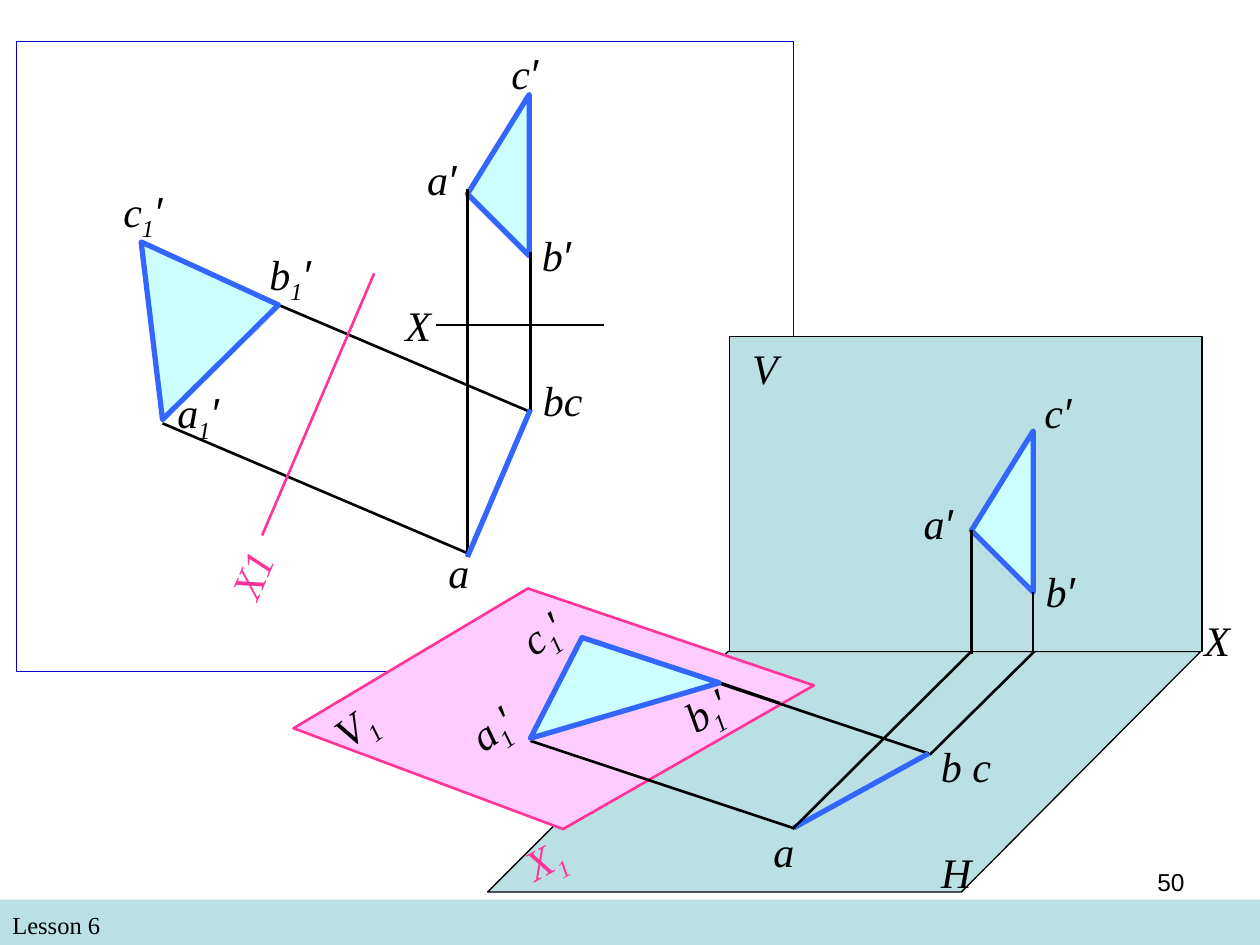
from dataclasses import dataclass
from typing import Optional, Union

from lxml.etree import SubElement
from pptx import Presentation
from pptx.dml.color import RGBColor
from pptx.enum.shapes import MSO_CONNECTOR, MSO_SHAPE
from pptx.enum.text import PP_ALIGN
from pptx.oxml.ns import qn
from pptx.shapes.autoshape import Shape
from pptx.slide import Slide
from pptx.text.text import TextFrame
from pptx.util import Inches, Pt

Point = tuple[float, float]


@dataclass(frozen=True)
class Theme:
    black: str = "000000"
    plane: str = "BBE0E3"
    auxiliary_plane: str = "FFCCFF"
    auxiliary_line: str = "FF3399"
    triangle: str = "CCFFFF"
    edge: str = "3366FF"
    frame: str = "0000CC"
    serif: str = "Times New Roman"
    sans: str = "Arial"
    label_size: float = 24
    small_size: float = 14
    thin: float = 0.75
    medium: float = 1.5
    thick: float = 3


THEME = Theme()


@dataclass(frozen=True)
class Segment:
    start: Point
    end: Point
    color: str = THEME.black
    width: float = THEME.medium


@dataclass(frozen=True)
class Polygon:
    points: tuple[Point, ...]
    fill: str = THEME.triangle
    color: str = THEME.edge
    width: float = THEME.thick


@dataclass(frozen=True)
class Box:
    left: float
    top: float
    width: float
    height: float
    fill: Optional[str] = None
    line: Optional[str] = None


@dataclass(frozen=True)
class Label:
    letter: str
    left: float
    top: float
    width: float = 0.67
    subscript: str = ""
    prime: str = ""
    rotation: float = 0
    color: str = THEME.black
    inset: float = 0.1


Item = Union[Segment, Polygon, Box, Label]


def front_triangle(x: float, y: float) -> Polygon:
    return Polygon(((x, y), (x, y + 1.28), (x - 0.49, y + 0.79)))


def style_shape(shape: Shape, fill: Optional[str], line: Optional[str], width: float) -> None:
    shape.shadow.inherit = False
    if fill:
        shape.fill.solid()
        shape.fill.fore_color.rgb = RGBColor.from_string(fill)
    else:
        shape.fill.background()
    if line:
        shape.line.color.rgb = RGBColor.from_string(line)
        shape.line.width = Pt(width)
    else:
        shape.line.fill.background()


def draw_segment(slide: Slide, segment: Segment) -> None:
    ends = [Inches(value) for value in segment.start + segment.end]
    connector = slide.shapes.add_connector(MSO_CONNECTOR.STRAIGHT, *ends)
    connector.line.color.rgb = RGBColor.from_string(segment.color)
    connector.line.width = Pt(segment.width)
    SubElement(connector._element.spPr, qn("a:effectLst"))


def draw_polygon(slide: Slide, polygon: Polygon) -> None:
    first, *others = [(Inches(x), Inches(y)) for x, y in polygon.points]
    builder = slide.shapes.build_freeform(*first)
    builder.add_line_segments(others, close=True)
    style_shape(builder.convert_to_shape(), polygon.fill, polygon.color, polygon.width)


def draw_box(slide: Slide, box: Box) -> None:
    place = [Inches(value) for value in (box.left, box.top, box.width, box.height)]
    shape = slide.shapes.add_shape(MSO_SHAPE.RECTANGLE, *place)
    style_shape(shape, box.fill, box.line, THEME.thin)


def add_text_box(slide: Slide, left: float, top: float, width: float, height: float) -> Shape:
    text_box = slide.shapes.add_textbox(Inches(left), Inches(top), Inches(width), Inches(height))
    text_box.text_frame.word_wrap = True
    return text_box


def add_run(frame: TextFrame, text: str, font: str, size: float, color: str = THEME.black,
            italic: bool = False, baseline: int = 0) -> None:
    run = frame.paragraphs[0].add_run()
    run.text = text
    run.font.name = font
    run.font.size = Pt(size)
    run.font.italic = italic
    run.font.color.rgb = RGBColor.from_string(color)
    if baseline:
        run.font._element.set("baseline", str(baseline))


def draw_label(slide: Slide, label: Label) -> None:
    height = 0.56 if label.subscript else 0.5
    text_box = add_text_box(slide, label.left, label.top, label.width, height)
    text_box.rotation = label.rotation
    frame = text_box.text_frame
    frame.margin_left = Inches(label.inset)
    parts = ((label.letter, THEME.serif, 0), (label.subscript, THEME.serif, -25000),
             (label.prime, THEME.sans, 0))
    for text, font, baseline in parts:
        if text:
            add_run(frame, text, font, THEME.label_size, label.color, True, baseline)


def draw_items(slide: Slide, items: list[Item]) -> None:
    painters = {Segment: draw_segment, Polygon: draw_polygon, Box: draw_box, Label: draw_label}
    for item in items:
        painters[type(item)](slide, item)


AUXILIARY_VIEW: list[Item] = [
    Segment((2.21, 2.42), (4.21, 3.27)),
    Segment((1.29, 3.36), (3.71, 4.39)),
    Polygon(((1.12, 1.92), (1.29, 3.33), (2.21, 2.42))),
    Label("a", 1.31, 3.02, 1, "1", "′"),
    Label("c", 0.88, 1.42, 0.75, "1", "′"),
    Label("b", 2.04, 1.92, 0.75, "1", "′"),
    Segment((2.97, 2.17), (2.08, 4.25), THEME.auxiliary_line),
    Label("X1", 1.63, 4.19, 0.83, rotation=293.2, color=THEME.auxiliary_line),
]

PROJECTION_VIEW: list[Item] = [
    Box(0.13, 0.33, 6.17, 5, line=THEME.frame),
    Segment((3.46, 2.58), (4.79, 2.58)),
    front_triangle(4.2, 0.75),
    Segment((4.21, 2), (4.21, 3.25)),
    Segment((3.71, 1.5), (3.71, 4.42)),
    Segment((4.21, 3.25), (3.71, 4.42), THEME.edge, THEME.thick),
    Label("bc", 4.21, 2.92),
    Label("a", 3.46, 4.29),
    Label("b", 4.12, 1.77, prime="′", inset=0.18),
    Label("a", 3.21, 1.17, prime="′", inset=0.18),
    Label("c", 3.96, 0.33, prime="′"),
    Label("X", 3.12, 2.33, 0.5),
]

SPATIAL_VIEW: list[Item] = [
    Polygon(((5.78, 5.17), (3.87, 7.08), (7.63, 7.08), (9.53, 5.17)),
            THEME.plane, THEME.black, THEME.thin),
    Polygon(((4.47, 6.58), (2.33, 5.78), (4.19, 4.67), (6.46, 5.44)),
            THEME.auxiliary_plane, THEME.auxiliary_line, THEME.medium),
    Box(5.79, 2.67, 3.75, 2.5, THEME.plane, THEME.black),
    Segment((6.29, 6.57), (4.21, 5.88)),
    Segment((7.37, 5.98), (4.62, 5.06)),
    front_triangle(8.2, 3.42),
    Segment((8.2, 4.7), (8.2, 5.19)),
    Segment((7.71, 4.21), (7.71, 5.19)),
    Segment((6.3, 6.57), (7.37, 5.98), THEME.edge, THEME.thick),
    Segment((8.21, 5.17), (7.38, 5.99)),
    Segment((7.71, 5.17), (6.29, 6.58)),
    Label("V", 5.87, 2.67, 0.42),
    Label("H", 7.37, 6.67, 0.42),
    Label("a", 7.15, 3.9, prime="′", inset=0.18),
    Label("c", 8.11, 3.02, prime="′", inset=0.18),
    Label("b", 8.2, 4.44, prime="′"),
    Label("X", 9.46, 4.83, 0.5),
    Label("X", 4.06, 6.48, 0.83, "1", rotation=331.1, color=THEME.auxiliary_line),
    Label("V", 2.56, 5.45, 0.67, "1", rotation=323.6),
    Label("c", 4.04, 4.71, 0.71, "1", "′", 325.4),
    Label("b", 5.18, 5.38, 0.87, "1", "′", 329.8, inset=0.27),
    Label("a", 3.62, 5.42, 0.87, "1", "′", 324),
    Segment((5.72, 5.42), (6.19, 5.58)),
    Label("b", 7.37, 5.83),
    Label("c", 7.62, 5.83),
    Label("a", 6.04, 6.5, 0.5),
    Polygon(((4.21, 5.86), (5.71, 5.42), (4.62, 5.06))),
]


def main() -> None:
    presentation = Presentation()
    presentation.slide_width = Inches(10)
    presentation.slide_height = Inches(7.5)
    slide = presentation.slides.add_slide(presentation.slide_layouts[6])

    draw_box(slide, Box(0, 7.14, 10, 0.36, THEME.plane))
    lesson = add_text_box(slide, 0, 7.17, 4.83, 0.34).text_frame
    add_run(lesson, "Lesson 6", THEME.serif, THEME.small_size)

    for view in (AUXILIARY_VIEW, PROJECTION_VIEW, SPATIAL_VIEW):
        draw_items(slide, view)

    number = add_text_box(slide, 7.17, 6.83, 2.33, 0.52).text_frame
    number.paragraphs[0].alignment = PP_ALIGN.RIGHT
    add_run(number, "50", THEME.sans, THEME.small_size)
    presentation.save("out.pptx")


if __name__ == "__main__":
    main()
